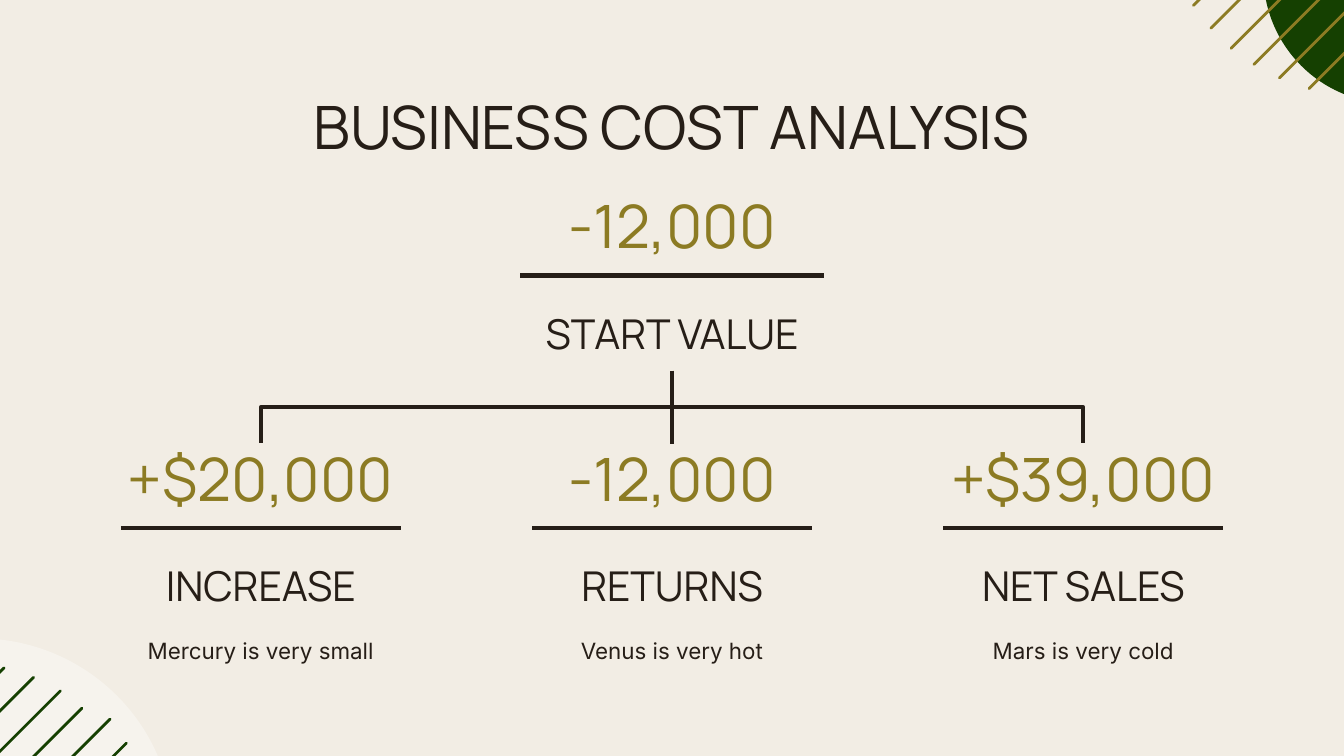
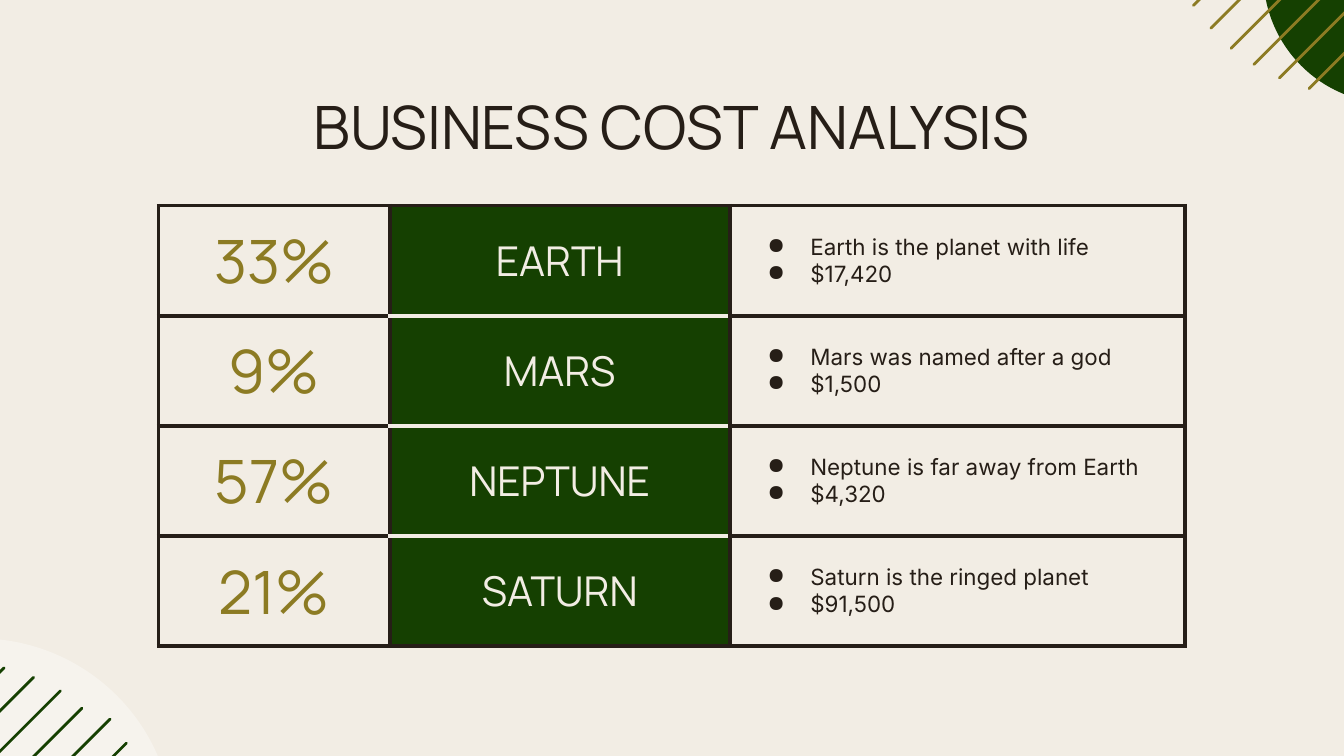
from typing import NamedTuple

from lxml.etree import SubElement
from pptx import Presentation
from pptx.dml.color import RGBColor
from pptx.enum.shapes import MSO_CONNECTOR, MSO_SHAPE
from pptx.enum.text import MSO_ANCHOR, PP_ALIGN
from pptx.oxml.ns import qn
from pptx.shapes.autoshape import Shape
from pptx.shapes.connector import Connector
from pptx.slide import Slide
from pptx.table import _Cell
from pptx.text.text import TextFrame
from pptx.util import Inches, Pt

SLIDE_WIDTH = Inches(10)
SLIDE_HEIGHT = Inches(5.625)
GRID_COLUMNS = 100
GRID_UNIT = SLIDE_WIDTH // GRID_COLUMNS
CENTER = GRID_COLUMNS / 2

COLORS = {
    "cream": "F2EDE4",
    "ink": "261E17",
    "gold": "8C7B23",
    "green": "154001",
    "white": "FFFFFF",
}
HEADING_FONT = "Manrope"
BODY_FONT = "Inter"
TITLE = "BUSINESS COST ANALYSIS"
RULE_WEIGHT = 2.25

CARD_WIDTH = 23.2
CARD_PITCH = 30.6
LINE_BOX_HEIGHT = 6.2
START_TOP = 14.2
BREAKDOWN_TOP = 33

TABLE_LEFT, TABLE_TOP = 11.8, 15.3
TABLE_COLUMNS = (17.2, 25.3, 11.9, 22)
TABLE_ROW = 8.2


class Box(NamedTuple):
    left: float
    top: float
    width: float
    height: float


class Disc(NamedTuple):
    box: Box
    color: str
    opacity: int


class Stripe(NamedTuple):
    left: float
    bottom: float
    size: float


class Card(NamedTuple):
    center: float
    top: float
    amount: str
    label: str
    rule_width: float = 20.8
    note: str = ""


class PlanetRow(NamedTuple):
    share: str
    planet: str
    details: str


DISCS = (
    Disc(Box(94, -11.5, 19.2, 19.2), "green", 100),
    Disc(Box(-16.1, 47.5, 29, 28.8), "white", 36),
)
STRIPES = {
    "gold": (
        Stripe(88.8, 0.4, 19.5),
        Stripe(90.1, 2.1, 20.6),
        Stripe(91.6, 3.6, 20.9),
        Stripe(93.3, 4.8, 20.1),
        Stripe(95.2, 5.8, 18.6),
        Stripe(97.4, 6.6, 17.1),
    ),
    "green": (
        Stripe(-16.8, 66.8, 17.1),
        Stripe(-16, 68.9, 18.5),
        Stripe(-15, 70.9, 19.5),
        Stripe(-13.8, 72.6, 19.9),
        Stripe(-12.4, 74.1, 20.6),
        Stripe(-10.6, 75.3, 20),
    ),
}
START = Card(CENTER, START_TOP, "-12,000", "START VALUE", rule_width=22.6)
BREAKDOWN = tuple(
    Card(CENTER + (index - 1) * CARD_PITCH, BREAKDOWN_TOP, amount, label, note=note)
    for index, (amount, label, note) in enumerate((
        ("+$20,000", "INCREASE", "Mercury is very small"),
        ("-12,000", "RETURNS", "Venus is very hot"),
        ("+$39,000", "NET SALES", "Mars is very cold"),
    ))
)
PLANETS = (
    PlanetRow("33%", "EARTH", "Earth is the planet with life\n$17,420"),
    PlanetRow("9%", "MARS", "Mars was named after a god\n$1,500"),
    PlanetRow("57%", "NEPTUNE", "Neptune is far away from Earth\n$4,320"),
    PlanetRow("21%", "SATURN", "Saturn is the ringed planet\n$91,500"),
)


def grid(*units: float) -> list[int]:
    return [round(unit * GRID_UNIT) for unit in units]


def rgb(color: str) -> RGBColor:
    return RGBColor.from_string(COLORS[color])


def write_text(
    frame: TextFrame,
    text: str,
    *,
    size: float,
    color: str = "ink",
    font: str = HEADING_FONT,
    align: PP_ALIGN = PP_ALIGN.CENTER,
    bulleted: bool = False,
) -> None:
    for index, line in enumerate(text.split("\n")):
        paragraph = frame.add_paragraph() if index else frame.paragraphs[0]
        paragraph.alignment = align
        if bulleted:
            properties = paragraph._p.get_or_add_pPr()
            properties.set("marL", str(Inches(0.5)))
            properties.set("indent", str(-Inches(0.32)))
            bullet_color = SubElement(properties, qn("a:buClr"))
            SubElement(bullet_color, qn("a:srgbClr"), val=COLORS[color])
            SubElement(properties, qn("a:buChar"), char="●")
        run = paragraph.add_run()
        run.text = line
        run.font.size = Pt(size)
        run.font.name = font
        run.font.color.rgb = rgb(color)


def set_layout(holder: TextFrame | _Cell, anchor: MSO_ANCHOR) -> None:
    holder.vertical_anchor = anchor
    holder.margin_left = holder.margin_right = Inches(0.1)
    holder.margin_top = holder.margin_bottom = Inches(0.1)


def add_text(
    slide: Slide, box: Box, text: str, anchor: MSO_ANCHOR = MSO_ANCHOR.BOTTOM, **text_format
) -> Shape:
    shape = slide.shapes.add_textbox(*grid(*box))
    shape.text_frame.word_wrap = True
    set_layout(shape.text_frame, anchor)
    write_text(shape.text_frame, text, **text_format)
    return shape


def add_line(
    slide: Slide,
    start: tuple[float, float],
    end: tuple[float, float],
    *,
    color: str = "ink",
    weight: float = RULE_WEIGHT,
    kind: MSO_CONNECTOR = MSO_CONNECTOR.STRAIGHT,
) -> Connector:
    connector = slide.shapes.add_connector(kind, *grid(*start, *end))
    connector.line.color.rgb = rgb(color)
    connector.line.width = Pt(weight)
    SubElement(connector._element.spPr, qn("a:effectLst"))
    return connector


def add_disc(slide: Slide, disc: Disc) -> None:
    shape = slide.shapes.add_shape(MSO_SHAPE.OVAL, *grid(*disc.box))
    shape.shadow.inherit = False
    shape.line.fill.background()
    shape.fill.solid()
    shape.fill.fore_color.rgb = rgb(disc.color)
    if disc.opacity < 100:
        color = shape._element.spPr.find(qn("a:solidFill"))[0]
        SubElement(color, qn("a:alpha"), val=str(disc.opacity * 1000))


def add_stripe(slide: Slide, stripe: Stripe, color: str) -> None:
    left, bottom, size = stripe
    connector = add_line(
        slide, (left, bottom), (left + size, bottom - size), color=color, weight=1.5
    )
    connector._element.spPr.find(qn("a:ln")).set("cap", "rnd")


def add_base_slide(presentation: Presentation) -> Slide:
    slide = presentation.slides.add_slide(presentation.slide_layouts[6])
    slide.background.fill.solid()
    slide.background.fill.fore_color.rgb = rgb("cream")
    for disc in DISCS:
        add_disc(slide, disc)
    for color, stripes in STRIPES.items():
        for stripe in stripes:
            add_stripe(slide, stripe, color)
    add_text(slide, Box(7.8, 5.7, 84.4, 7.7), TITLE, MSO_ANCHOR.TOP, size=32)
    return slide


def add_card(slide: Slide, card: Card) -> tuple[Shape, Shape]:
    left = card.center - CARD_WIDTH / 2
    amount_box = Box(left, card.top, CARD_WIDTH, LINE_BOX_HEIGHT)
    label_box = amount_box._replace(top=card.top + 7.2)
    amount = add_text(slide, amount_box, card.amount, size=32, color="gold")
    label = add_text(slide, label_box, card.label, size=22)
    if card.note:
        note_box = Box(left, card.top + 13.4, CARD_WIDTH, 3.7)
        add_text(slide, note_box, card.note, MSO_ANCHOR.TOP, size=12, font=BODY_FONT)
    rule_top = card.top + LINE_BOX_HEIGHT + 0.1
    half_rule = card.rule_width / 2
    add_line(slide, (card.center - half_rule, rule_top), (card.center + half_rule, rule_top))
    return amount, label


def add_branch(slide: Slide, parent: Shape, child: Shape, card: Card) -> None:
    start = (CENTER, START_TOP + 13.4)
    end = (card.center, card.top)
    straight = card.center == CENTER
    kind = MSO_CONNECTOR.STRAIGHT if straight else MSO_CONNECTOR.ELBOW
    connector = add_line(slide, start, end, kind=kind)
    connector.begin_connect(parent, 2)
    connector.end_connect(child, 0)
    if straight:
        return
    length, spread = end[1] - start[1], abs(end[0] - start[0])
    middle_x, middle_y = (start[0] + end[0]) / 2, (start[1] + end[1]) / 2
    connector.left, connector.top, connector.width, connector.height = grid(
        middle_x - length / 2, middle_y - spread / 2, length, spread
    )
    goes_right = end[0] > start[0]
    transform = connector._element.spPr.find(qn("a:xfrm"))
    transform.set("rot", str((270 if goes_right else 90) * 60000))
    transform.set("flipH", str(int(goes_right)))
    transform.set("flipV", "0")


def set_borders(cell: _Cell, top: str = "ink", bottom: str = "ink") -> None:
    properties = cell._tc.get_or_add_tcPr()
    sides = {"lnL": "ink", "lnR": "ink", "lnT": top, "lnB": bottom}
    for index, (side, color) in enumerate(sides.items()):
        line = SubElement(properties, qn(f"a:{side}"), w=str(Pt(RULE_WEIGHT)))
        fill = SubElement(line, qn("a:solidFill"))
        SubElement(fill, qn("a:srgbClr"), val=COLORS[color])
        properties.insert(index, line)


def add_planet_table(slide: Slide) -> None:
    box = Box(TABLE_LEFT, TABLE_TOP, sum(TABLE_COLUMNS), TABLE_ROW * len(PLANETS))
    table = slide.shapes.add_table(len(PLANETS), len(TABLE_COLUMNS), *grid(*box)).table
    table.first_row = table.horz_banding = False
    for column, width in zip(table.columns, grid(*TABLE_COLUMNS)):
        column.width = width
    last = len(PLANETS) - 1
    for index, planet in enumerate(PLANETS):
        table.rows[index].height = grid(TABLE_ROW)[0]
        cells = [table.cell(index, column) for column in range(len(TABLE_COLUMNS))]
        share, name, details, spanned = cells
        details.merge(spanned)
        for cell in cells:
            set_layout(cell, MSO_ANCHOR.MIDDLE)
            if cell is name:
                cell.fill.solid()
                cell.fill.fore_color.rgb = rgb("green")
                set_borders(
                    cell, "cream" if index else "ink", "cream" if index < last else "ink"
                )
            else:
                cell.fill.background()
                set_borders(cell)
        write_text(share.text_frame, planet.share, size=32, color="gold")
        write_text(name.text_frame, planet.planet, size=22, color="cream")
        write_text(
            details.text_frame, planet.details,
            size=12, font=BODY_FONT, align=PP_ALIGN.LEFT, bulleted=True,
        )


def main() -> None:
    presentation = Presentation()
    presentation.slide_width = SLIDE_WIDTH
    presentation.slide_height = SLIDE_HEIGHT

    tree_slide = add_base_slide(presentation)
    _, start_label = add_card(tree_slide, START)
    for card in BREAKDOWN:
        amount, _ = add_card(tree_slide, card)
        add_branch(tree_slide, start_label, amount, card)

    add_planet_table(add_base_slide(presentation))
    presentation.save("out.pptx")


if __name__ == "__main__":
    main()
